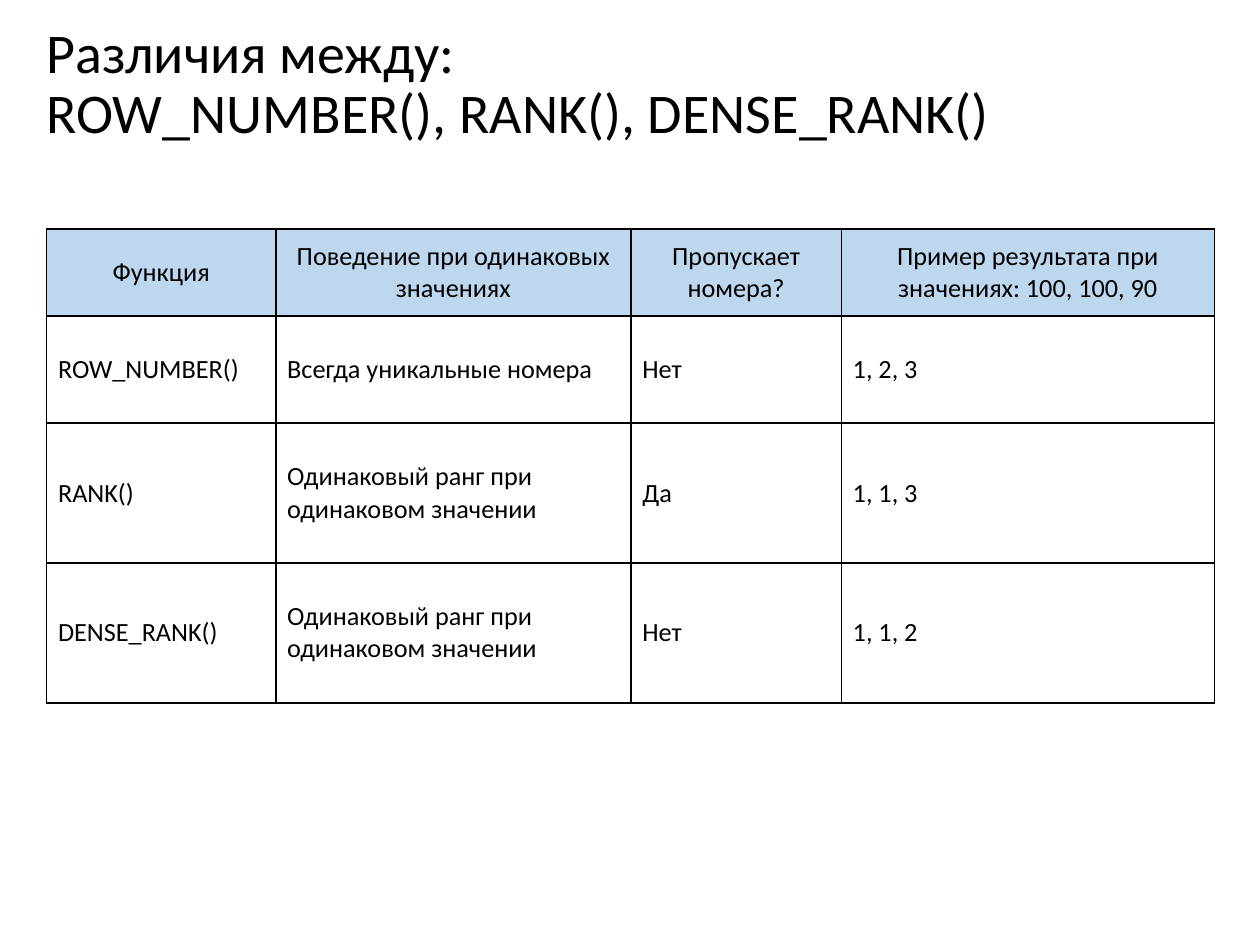
import dataclasses

import lxml.etree
import pptx
import pptx.dml.color
import pptx.enum.text
import pptx.oxml.ns
import pptx.util

Cm = pptx.util.Cm
Pt = pptx.util.Pt
Align = pptx.enum.text.PP_ALIGN
MIDDLE = pptx.enum.text.MSO_ANCHOR.MIDDLE


@dataclasses.dataclass(frozen=True)
class Theme:
    font: str = "Calibri"
    ink: str = "000000"
    paper: str = "FFFFFF"
    header: str = "BDD7EE"
    title_size: int = 32
    table_size: int = 15
    border: int = 1


@dataclasses.dataclass(frozen=True)
class Box:
    left: float
    top: float
    width: float
    height: float


THEME = Theme()
TITLE_BOX = Box(0.94, 0.46, 22.28, 2.49)
TABLE_BOX = Box(0.94, 4.62, 23.54, 9.55)
COLUMN_WIDTHS = (4.62, 7.16, 4.24, 7.52)
ROW_HEIGHTS = (1.75, 2.16, 2.82, 2.82)
TITLE = "Различия между:\vROW_NUMBER(), RANK(), DENSE_RANK()"
ROWS = (
    ("Функция", "Поведение при одинаковых значениях", "Пропускает номера?",
     "Пример результата при значениях: 100, 100, 90"),
    ("ROW_NUMBER()", "Всегда уникальные номера", "Нет", "1, 2, 3"),
    ("RANK()", "Одинаковый ранг при одинаковом значении", "Да", "1, 1, 3"),
    ("DENSE_RANK()", "Одинаковый ранг при одинаковом значении", "Нет", "1, 1, 2"),
)


def apply(target, values):
    for name, value in values.items():
        setattr(target, name, value)


def color(code):
    return pptx.dml.color.RGBColor.from_string(code)


def format_text(frame, size, alignment, spacing):
    for para in frame.paragraphs:
        apply(para, {"alignment": alignment, "line_spacing": spacing})
        for span in para.runs:
            apply(span.font, {"name": THEME.font, "size": Pt(size), "bold": False})
            span.font.color.rgb = color(THEME.ink)


def add_borders(cell):
    qn = pptx.oxml.ns.qn
    properties = cell._tc.get_or_add_tcPr()
    for side in ("lnL", "lnR", "lnT", "lnB"):
        line = lxml.etree.SubElement(properties, qn(f"a:{side}"), w=str(Pt(THEME.border)))
        fill = lxml.etree.SubElement(line, qn("a:solidFill"))
        lxml.etree.SubElement(fill, qn("a:srgbClr"), val=THEME.ink)


def place_title(page, box):
    title = page.shapes.title
    apply(title, {name: Cm(value) for name, value in dataclasses.asdict(box).items()})
    frame = title.text_frame
    apply(frame, {
        "text": TITLE, "word_wrap": True, "vertical_anchor": MIDDLE,
        "auto_size": pptx.enum.text.MSO_AUTO_SIZE.NONE,
        "margin_left": 0, "margin_right": 0, "margin_top": Cm(0.03), "margin_bottom": 0,
    })
    format_text(frame, THEME.title_size, Align.LEFT, 0.9)


def place_table(page, box):
    position = [Cm(value) for value in dataclasses.astuple(box)]
    table = page.shapes.add_table(len(ROWS), len(COLUMN_WIDTHS), *position).table
    table.horz_banding = False
    for column, width in zip(table.columns, COLUMN_WIDTHS):
        column.width = Cm(width)
    for index, (row, height, texts) in enumerate(zip(table.rows, ROW_HEIGHTS, ROWS)):
        row.height = Cm(height)
        header = index == 0
        for cell, text in zip(row.cells, texts):
            apply(cell, {
                "text": text, "vertical_anchor": MIDDLE,
                "margin_left": Cm(0.23), "margin_right": Cm(0.23),
                "margin_top": Cm(0.1), "margin_bottom": Cm(0.1),
            })
            format_text(cell.text_frame, THEME.table_size,
                        Align.CENTER if header else Align.LEFT, 1.0)
            add_borders(cell)
            cell.fill.solid()
            cell.fill.fore_color.rgb = color(THEME.header if header else THEME.paper)


def main():
    deck = pptx.Presentation()
    apply(deck, {"slide_width": Cm(25.4), "slide_height": Cm(19.05)})
    page = deck.slides.add_slide(deck.slide_layouts.get_by_name("Title Only"))
    place_title(page, TITLE_BOX)
    place_table(page, TABLE_BOX)
    deck.save("out.pptx")


if __name__ == "__main__":
    main()
